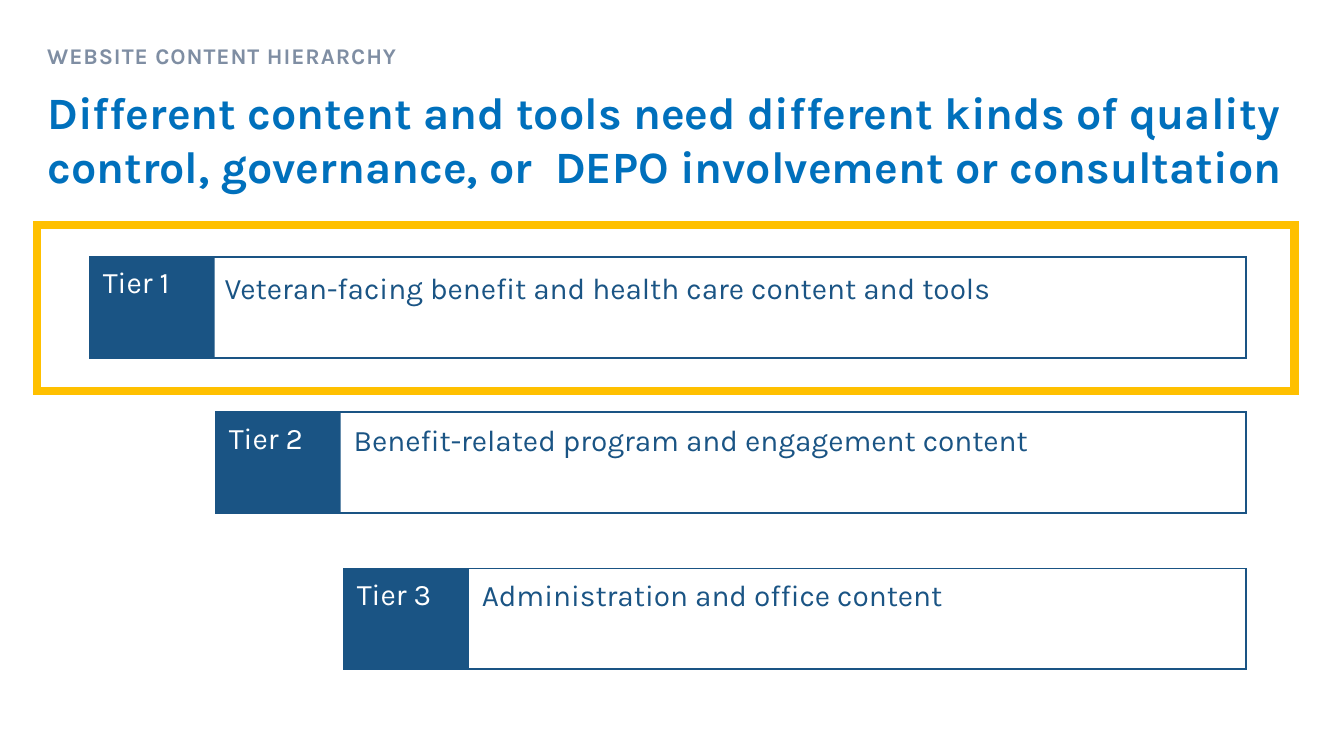
"""Build the content hierarchy slide with its three tiers."""
from lxml import etree
from pptx import Presentation
from pptx.dml.color import RGBColor
from pptx.enum.shapes import MSO_SHAPE
from pptx.enum.text import MSO_ANCHOR, MSO_AUTO_SIZE, PP_ALIGN
from pptx.oxml.ns import qn
from pptx.util import Inches, Pt

RECTANGLE = MSO_SHAPE.RECTANGLE
TOP = MSO_ANCHOR.TOP
LEFT = PP_ALIGN.LEFT
NO_AUTOFIT = MSO_AUTO_SIZE.NONE

COLORS = {
    "title": "0070BC",
    "kicker": "7F8EA3",
    "tier": "1A5484",
    "label": "FFFFFF",
    "highlight": "FFC000",
}
TIER_RIGHT = 12.36
TIER_HEIGHT = 1
LABEL_WIDTH = 1.24


def write_text(shape, text, size, color, bold=False, insets=(0.1, 0.05)):
    """Fill a shape with one left-aligned, top-anchored paragraph."""
    frame = shape.text_frame
    horizontal, vertical = map(Inches, insets)
    frame_format = {
        "word_wrap": True,
        "auto_size": NO_AUTOFIT,
        "vertical_anchor": TOP,
        "margin_left": horizontal,
        "margin_right": horizontal,
        "margin_top": vertical,
        "margin_bottom": vertical,
    }
    for name, value in frame_format.items():
        setattr(frame, name, value)
    paragraph = frame.paragraphs[0]
    paragraph.alignment = LEFT
    run = paragraph.add_run()
    run.text = text
    for name, value in {"name": "Karla", "size": Pt(size), "bold": bold}.items():
        setattr(run.font, name, value)
    run.font.color.rgb = RGBColor.from_string(COLORS[color])
    return paragraph


def add_rectangle(slide, box, fill=None, line=None, line_width=1.25):
    """Add a rectangle with an optional fill and a sharp-cornered outline."""
    shape = slide.shapes.add_shape(RECTANGLE, *map(Inches, box))
    shape.shadow.inherit = False
    if fill:
        shape.fill.solid()
        shape.fill.fore_color.rgb = RGBColor.from_string(COLORS[fill])
    else:
        shape.fill.background()
    if line:
        shape.line.color.rgb = RGBColor.from_string(COLORS[line])
        shape.line.width = Pt(line_width)
        outline = shape._element.spPr.find(qn("a:ln"))
        etree.SubElement(outline, qn("a:miter"), lim="800000")
    else:
        shape.line.fill.background()
    return shape


presentation = Presentation()
presentation.slide_width = Inches(13.33)
presentation.slide_height = Inches(7.5)
slide = presentation.slides.add_slide(presentation.slide_layouts[5])

title = slide.shapes.title
title_box = {"left": 0.37, "top": 0.79, "width": 12.96, "height": 1.65}
for name, value in title_box.items():
    setattr(title, name, Inches(value))
write_text(
    title,
    "Different content and tools need different kinds of quality control, "
    "governance, or  DEPO involvement or consultation",
    32, "title", bold=True,
)

kicker = slide.shapes.add_textbox(*map(Inches, (0.37, 0.32, 11.3, 0.43)))
kicker_paragraph = write_text(kicker, "WEBSITE CONTENT HIERARCHY", 16, "kicker", bold=True)
kicker_paragraph.line_spacing = 1.2
kicker_paragraph.space_after = Pt(8)
kicker_paragraph.runs[0].font._element.set("spc", "70")

tiers = [
    (0.89, 2.55, 2.13, 2.63, "Veteran-facing benefit and health care content and tools"),
    (2.14, 4.09, 3.41, 4.13, "Benefit-related program and engagement content"),
    (3.41, 5.64, 4.68, 5.67, "Administration and office content"),
]
for number, (left, top, text_left, text_top, description) in enumerate(tiers, 1):
    add_rectangle(slide, (left, top, TIER_RIGHT - left, TIER_HEIGHT), line="tier")
    label = add_rectangle(slide, (left, top, LABEL_WIDTH, TIER_HEIGHT), fill="tier")
    write_text(label, f"Tier {number}", 21.3, "label", insets=(0.13, 0.07))
    text_box = (text_left, text_top, TIER_RIGHT - text_left, 0.46)
    description_box = slide.shapes.add_textbox(*map(Inches, text_box))
    write_text(description_box, description, 21.3, "tier")

add_rectangle(slide, (0.37, 2.23, 12.47, 1.65), line="highlight", line_width=6)

presentation.save("out.pptx")
